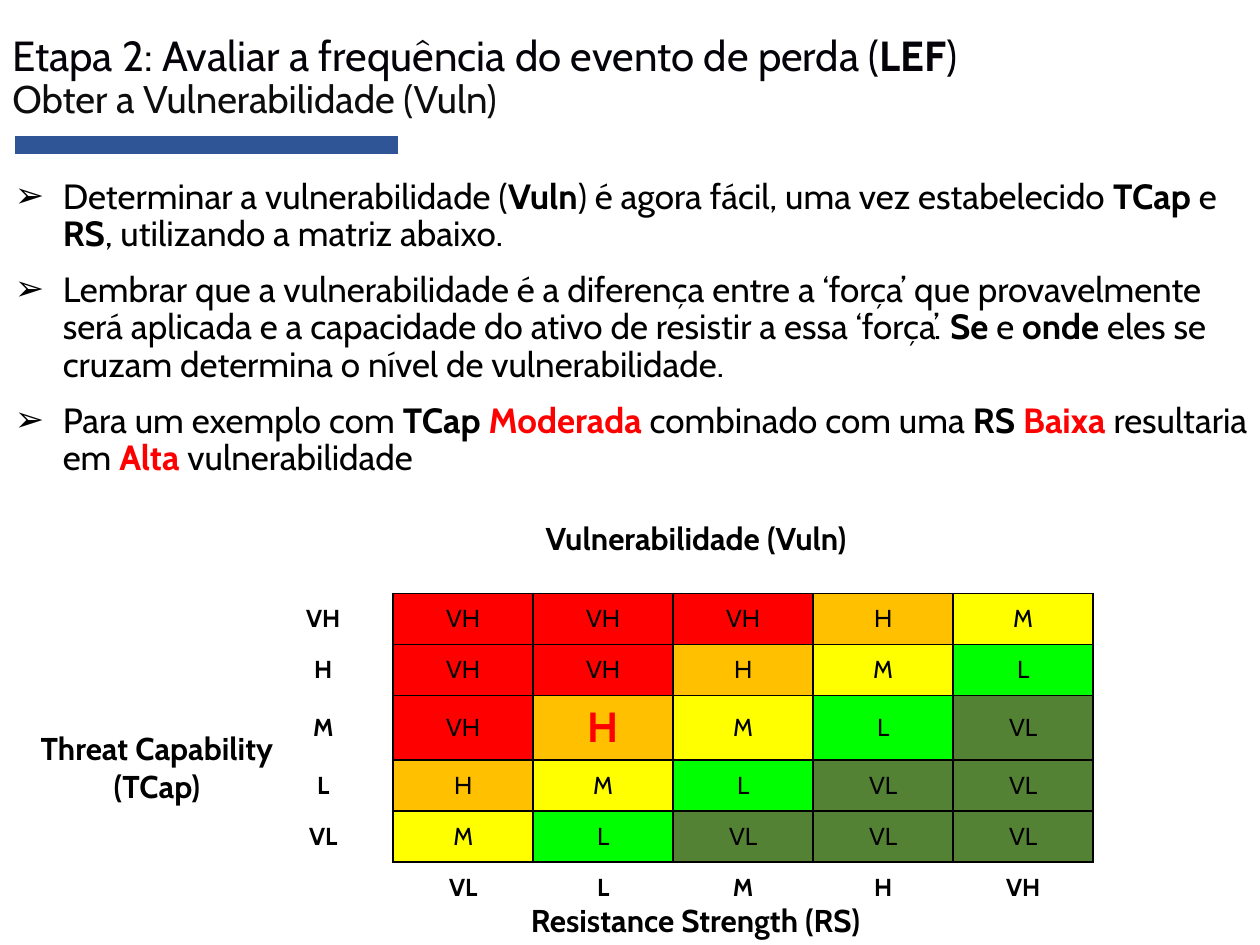
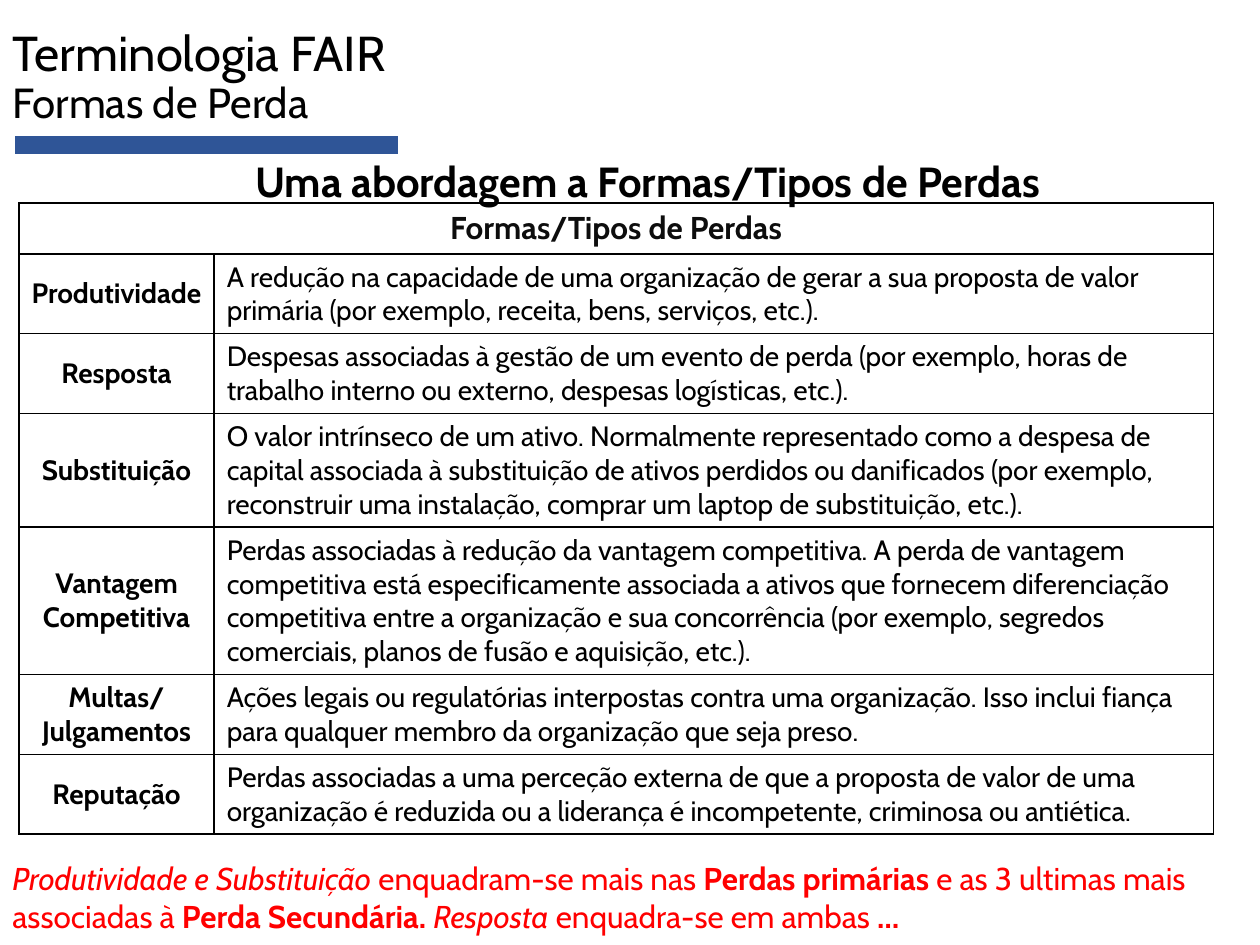
from dataclasses import dataclass
from typing import Any, NamedTuple, Optional

import pptx
import pptx.dml.color
import pptx.enum.shapes
import pptx.enum.text
import pptx.oxml
import pptx.oxml.ns
import pptx.util

Pt = pptx.util.Pt
RGB = pptx.dml.color.RGBColor
LEFT = pptx.enum.text.PP_ALIGN.LEFT
MID = pptx.enum.text.PP_ALIGN.CENTER
TOP = pptx.enum.text.MSO_ANCHOR.TOP
CORE = pptx.enum.text.MSO_ANCHOR.MIDDLE

FONT = "Cabin"
BLACK = RGB(0x00, 0x00, 0x00)
INK = RGB(0x05, 0x03, 0x09)
GREY = RGB(0x0D, 0x0D, 0x0D)
BLUE = RGB(0x2F, 0x55, 0x97)
RED = RGB(0xFF, 0x00, 0x00)
AMBER = RGB(0xFF, 0xC0, 0x00)
YELLOW = RGB(0xFF, 0xFF, 0x00)
LIME = RGB(0x00, 0xFF, 0x00)
GREEN = RGB(0x54, 0x82, 0x35)

PLAIN = "{2D5ABB26-0587-4C30-8999-92F81FD0307C}"
SPACE = "http://schemas.openxmlformats.org/drawingml/2006/main"


class Box(NamedTuple):
    """Place and size in points."""

    left: float
    top: float
    width: float
    height: float


@dataclass(frozen=True)
class Bit:
    """A stretch of text in one format."""

    text: str
    bold: bool = False
    ital: bool = False
    tint: RGB = BLACK
    size: Optional[float] = None


@dataclass(frozen=True)
class Loss:
    """A form of loss, with the lines its row holds."""

    name: str
    text: str
    lines: int = 2


class Level(NamedTuple):
    """A step of the rating scale."""

    name: str
    tint: RGB


SCALE = [
    Level("VL", GREEN),
    Level("L", LIME),
    Level("M", YELLOW),
    Level("H", AMBER),
    Level("VH", RED),
]

POINTS = [
    [
        Bit("Determinar a vulnerabilidade ("),
        Bit("Vuln", bold=True),
        Bit(") é agora fácil, uma vez estabelecido "),
        Bit("TCap", bold=True),
        Bit(" e "),
        Bit("RS", bold=True),
        Bit(", utilizando a matriz abaixo."),
    ],
    [
        Bit("Lembrar que a vulnerabilidade é a diferença entre a ‘força’ que "
            "provavelmente será aplicada e a capacidade do ativo de resistir "
            "a essa ‘força’. "),
        Bit("Se", bold=True),
        Bit(" e "),
        Bit("onde", bold=True),
        Bit(" eles se cruzam determina o nível de vulnerabilidade."),
    ],
    [
        Bit("Para um exemplo com "),
        Bit("TCap ", bold=True),
        Bit("Moderada ", bold=True, tint=RED),
        Bit("combinado com uma "),
        Bit("RS ", bold=True),
        Bit("Baixa", bold=True, tint=RED),
        Bit(" resultaria em "),
        Bit("Alta", bold=True, tint=RED),
        Bit(" vulnerabilidade"),
    ],
]

LOSSES = [
    Loss("Produtividade",
         "A redução na capacidade de uma organização de gerar a sua proposta "
         "de valor primária (por exemplo, receita, bens, serviços, etc.)."),
    Loss("Resposta",
         "Despesas associadas à gestão de um evento de perda (por exemplo, "
         "horas de trabalho interno ou externo, despesas logísticas, etc.)."),
    Loss("Substituição",
         "O valor intrínseco de um ativo. Normalmente representado como a "
         "despesa de capital associada à substituição de ativos perdidos ou "
         "danificados (por exemplo, reconstruir uma instalação, comprar um "
         "laptop de substituição, etc.).", 3),
    Loss("Vantagem Competitiva",
         "Perdas associadas à redução da vantagem competitiva. A perda de "
         "vantagem competitiva está especificamente associada a ativos que "
         "fornecem diferenciação competitiva entre a organização e sua "
         "concorrência (por exemplo, segredos comerciais, planos de fusão e "
         "aquisição, etc.).", 4),
    Loss("Multas/\nJulgamentos",
         "Ações legais ou regulatórias interpostas contra uma organização. "
         "Isso inclui fiança para qualquer membro da organização que seja "
         "preso."),
    Loss("Reputação",
         "Perdas associadas a uma perceção externa de que a proposta de valor "
         "de uma organização é reduzida ou a liderança é incompetente, "
         "criminosa ou antiética."),
]

NOTE = [
    Bit("Produtividade e Substituição ", ital=True, tint=RED),
    Bit("enquadram-se mais nas ", tint=RED),
    Bit("Perdas primárias ", bold=True, tint=RED),
    Bit("e as 3 ultimas mais associadas à ", tint=RED),
    Bit("Perda Secundária. ", bold=True, tint=RED),
    Bit("Resposta ", ital=True, tint=RED),
    Bit("enquadra-se em ambas", tint=RED),
    Bit(" …", bold=True, tint=RED),
]


def write(par: Any, text: str, *, size: float, bold: bool = False,
          ital: bool = False, tint: RGB = BLACK) -> None:
    """Add text to a paragraph, with a line break at each newline."""
    for num, line in enumerate(text.split("\n")):
        if num:
            par.add_line_break()
        if line:
            run = par.add_run()
            run.text = line
            font = run.font
            font.name, font.size = FONT, Pt(size)
            font.bold, font.italic = bold, ital
            font.color.rgb = tint


def fill_par(par: Any, bits: list[Bit], size: float) -> None:
    """Write all bits of one paragraph."""
    for bit in bits:
        write(par, bit.text, size=bit.size or size, bold=bit.bold,
              ital=bit.ital, tint=bit.tint)


def mark(par: Any) -> None:
    """Give a paragraph an arrow bullet and hanging indent."""
    props = par._p.get_or_add_pPr()
    props.set("marL", str(Pt(28.8)))
    props.set("indent", str(Pt(-27.36)))
    for tag, key, val in (("buFont", "typeface", "Arial"),
                          ("buChar", "char", "➢")):
        props.append(pptx.oxml.parse_xml(
            f'<a:{tag} xmlns:a="{SPACE}" {key}="{val}"/>'))


def add_text(slide: Any, box: Box, pars: list[list[Bit]], size: float, *,
             align: Any = LEFT, anchor: Any = TOP, wrap: bool = True,
             space: float = 1.0, mark_all: bool = False) -> None:
    """Add a text box of formatted paragraphs."""
    frame = slide.shapes.add_textbox(*map(Pt, box)).text_frame
    frame.word_wrap, frame.vertical_anchor = wrap, anchor
    for num, bits in enumerate(pars):
        par = frame.add_paragraph() if num else frame.paragraphs[0]
        if mark_all:
            mark(par)
        par.alignment, par.line_spacing = align, space
        if num:
            par.space_before = Pt(10)
        fill_par(par, bits, size)


def add_label(slide: Any, box: Box, text: str) -> None:
    """Add a bold caption that does not wrap."""
    add_text(slide, box, [[Bit(text, bold=True)]], 18, align=MID, wrap=False)


def add_page(deck: Any, title: list[Bit]) -> Any:
    """Add a blank slide with its blue rule and title."""
    slide = deck.slides.add_slide(deck.slide_layouts[6])
    rule = slide.shapes.add_connector(
        pptx.enum.shapes.MSO_CONNECTOR.STRAIGHT,
        Pt(8.64), Pt(82.8), Pt(227.52), Pt(82.8))
    rule.line.color.rgb, rule.line.width = BLUE, Pt(10)
    rule._element.spPr.append(
        pptx.oxml.parse_xml(f'<a:effectLst xmlns:a="{SPACE}"/>'))
    add_text(slide, Box(0, 1.44, 720, 87.12), [title], 24,
             anchor=CORE, space=0.9)
    return slide


def add_grid(slide: Any, left: float, top: float, cols: list[float],
             rows: list[float]) -> Any:
    """Add a table with no style and the given sizes."""
    box = Box(left, top, sum(cols), sum(rows))
    grid = slide.shapes.add_table(len(rows), len(cols), *map(Pt, box)).table
    grid.first_row = grid.horz_banding = False
    grid._tbl.tblPr.find(pptx.oxml.ns.qn("a:tableStyleId")).text = PLAIN
    for col, width in zip(grid.columns, cols):
        col.width = Pt(width)
    for row, height in zip(grid.rows, rows):
        row.height = Pt(height)
    return grid


def edge(cell: Any) -> None:
    """Draw a thin black line on each side of a cell."""
    props = cell._tc.get_or_add_tcPr()
    for num, side in enumerate("LRTB"):
        props.insert(num, pptx.oxml.parse_xml(
            f'<a:ln{side} xmlns:a="{SPACE}" w="{Pt(1)}"><a:solidFill>'
            f'<a:srgbClr val="{BLACK}"/></a:solidFill></a:ln{side}>'))


def set_cell(cell: Any, bit: Bit, size: float, *, align: Any = MID,
             anchor: Any = CORE, tint: Optional[RGB] = None,
             lined: bool = True) -> None:
    """Fill, write and border one cell."""
    if tint is None:
        cell.fill.background()
    else:
        cell.fill.solid()
        cell.fill.fore_color.rgb = tint
    cell.vertical_anchor = anchor
    par = cell.text_frame.paragraphs[0]
    par.alignment = align
    fill_par(par, [bit], size)
    if lined:
        edge(cell)


def add_matrix(slide: Any) -> None:
    """Add the matrix of threat against resistance."""
    count = len(SCALE)
    grid = add_grid(slide, 144.72, 339.12, [80] * (count + 1),
                    [29.2, 29.2, 36.7, 29.2, 29.2, 29.2])
    set_cell(grid.cell(count, 0), Bit(""), 14, lined=False)
    for num, level in enumerate(SCALE):
        name = Bit(level.name, bold=True)
        set_cell(grid.cell(count - 1 - num, 0), name, 14, lined=False)
        set_cell(grid.cell(count, num + 1), name, 14, lined=False)
    for threat in range(count):
        for force in range(count):
            rank = min(count - 1, max(0, threat - force + 2))
            level = SCALE[rank]
            bit = Bit(level.name)
            if (threat, force) == (2, 1):
                bit = Bit(level.name, bold=True, tint=RED, size=24)
            set_cell(grid.cell(count - 1 - threat, force + 1), bit, 14,
                     tint=level.tint)


def add_losses(slide: Any) -> None:
    """Add the table of loss forms."""
    rows = [29.2] + [7 + 19.3 * loss.lines for loss in LOSSES]
    grid = add_grid(slide, 10.8, 115.92, [111.6, 570.96], rows)
    head = grid.cell(0, 0)
    head.merge(grid.cell(0, 1))
    set_cell(head, Bit("Formas/Tipos de Perdas", bold=True, tint=GREY), 18,
             anchor=TOP)
    edge(grid.cell(0, 1))
    for num, loss in enumerate(LOSSES, 1):
        set_cell(grid.cell(num, 0), Bit(loss.name, bold=True), 16)
        set_cell(grid.cell(num, 1), Bit(loss.text), 16, align=LEFT)


def main() -> None:
    """Build both slides and save them."""
    deck = pptx.Presentation()
    deck.slide_width, deck.slide_height = Pt(720), Pt(540)

    vuln = add_page(deck, [
        Bit("Etapa 2: Avaliar a frequência do evento de perda (", tint=INK),
        Bit("LEF", bold=True, tint=INK),
        Bit(")\n", tint=INK),
        Bit("Obter a Vulnerabilidade (Vuln)", tint=GREY, size=22),
    ])
    add_text(vuln, Box(0, 98.64, 720, 342.72), POINTS, 20,
             space=0.9, mark_all=True)
    add_matrix(vuln)
    add_label(vuln, Box(293.76, 511.2, 207.36, 28.8),
              "Resistance Strength (RS)")
    add_label(vuln, Box(15.84, 413.28, 147.6, 51.12),
              "Threat Capability\n(TCap)")
    add_label(vuln, Box(303.84, 293.04, 187.92, 28.8),
              "Vulnerabilidade (Vuln)")

    forms = add_page(deck, [
        Bit("Terminologia FAIR\n", size=28),
        Bit("Formas de Perda"),
    ])
    add_text(forms, Box(59.76, 88.56, 620.64, 342.72),
             [[Bit("Uma abordagem a Formas/Tipos de Perdas", bold=True)]], 24,
             align=MID, space=0.9)
    add_losses(forms)
    add_text(forms, Box(0, 487.44, 728.64, 51.12), [NOTE], 18)

    deck.save("out.pptx")


if __name__ == "__main__":
    main()
